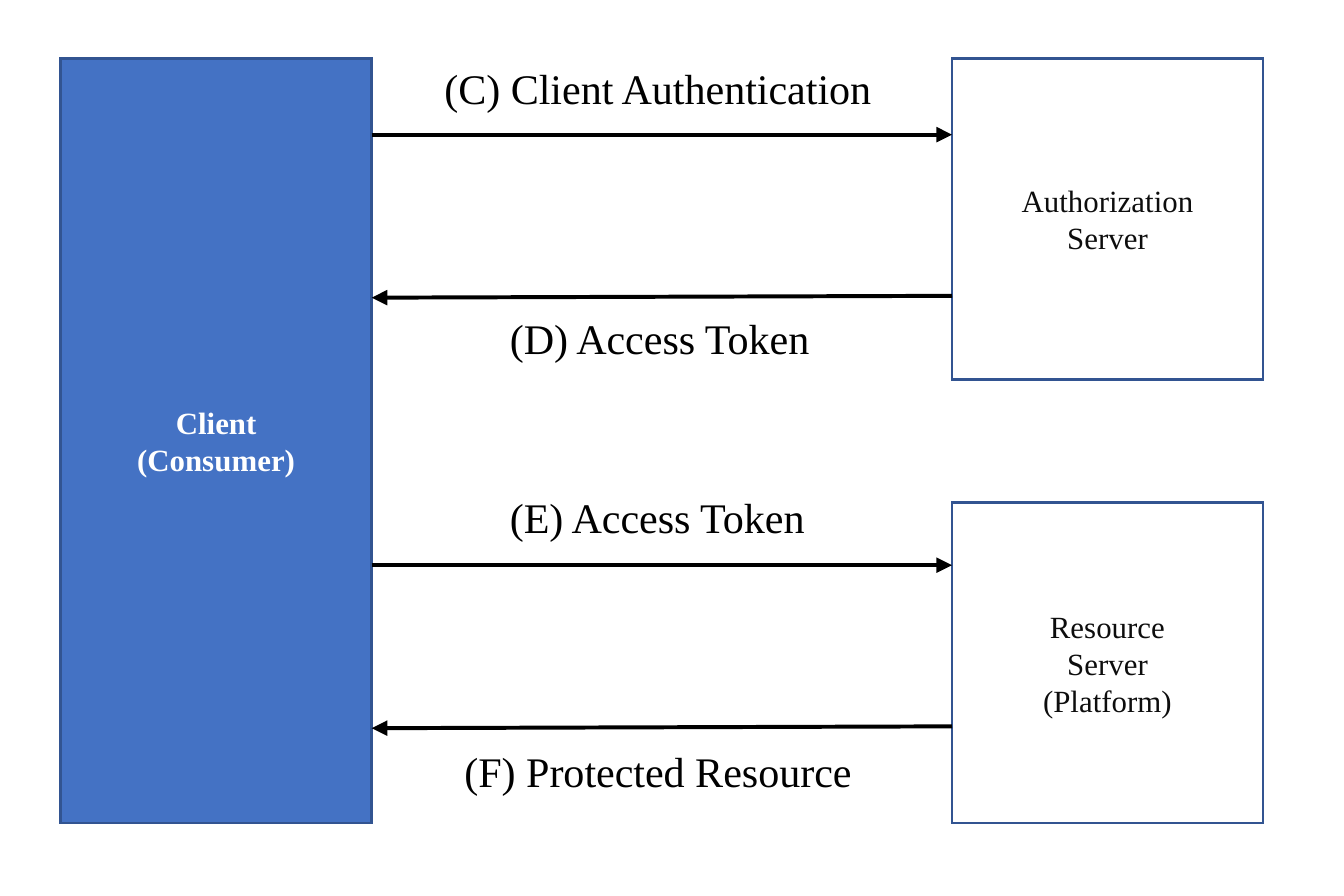
"""Build the client, authorization server and resource server token flow slide."""
from lxml import etree
from pptx import Presentation, util as u
from pptx.dml.color import RGBColor
from pptx.enum import shapes, text
from pptx.oxml.ns import qn

WIDE, HIGH = u.Cm(18), u.Cm(12)
LEFT, RIGHT, TOP, LOW = 0.32, 5.02, 0.31, 2.65
BOX, SIDE, TALL = 1.64, 1.69, 4.03
EDGE = LEFT + BOX
MID = (EDGE + RIGHT) / 2

BOXES = [
    ("Client\n(Consumer)", LEFT, TOP, TALL, "4472C4", "FFFFFF", True),
    ("Authorization\nServer", RIGHT, TOP, SIDE, "FFFFFF", "0D0D0D", False),
    ("Resource\nServer\n(Platform)", RIGHT, LOW, SIDE, "FFFFFF", "0D0D0D", False),
]
FLOWS = [
    ("(C) Client Authentication", 2.49, 0.28, EDGE, 0.71, RIGHT, 0.71),
    ("(D) Access Token", 1.8, 1.6, RIGHT, 1.56, EDGE, 1.57),
    ("(E) Access Token", 1.8, 2.54, EDGE, 2.98, RIGHT, 2.98),
    ("(F) Protected Resource", 2.28, 3.88, RIGHT, 3.83, EDGE, 3.84),
]


def tint(code):
    return RGBColor.from_string(code)


def paint(shape, code):
    shape.fill.solid()
    shape.fill.fore_color.rgb = tint(code)


def stroke(shape, code, size):
    shape.line.color.rgb = tint(code)
    shape.line.width = u.Pt(size)
    line = shape._element.spPr.find(qn("a:ln"))
    etree.SubElement(line, qn("a:miter"), lim="800000")
    return line


def write(shape, words, align, ink, **form):
    frame = shape.text_frame
    frame.text = words
    for para in frame.paragraphs:
        para.alignment = align
        font = para.runs[0].font
        font.color.rgb = tint(ink)
        for key, val in {"name": "Times New Roman", **form}.items():
            setattr(font, key, val)
    return frame


def draw_box(words, x, y, tall, fill, ink, bold):
    box = slide.shapes.add_shape(
        shapes.MSO_SHAPE.RECTANGLE, *map(u.Inches, (x, y, BOX, tall)))
    box.shadow.inherit = False
    paint(box, fill)
    stroke(box, "325491", 1)
    frame = write(box, words, text.PP_ALIGN.CENTER, ink, size=u.Pt(11.7), bold=bold)
    frame.vertical_anchor = text.MSO_ANCHOR.MIDDLE


def draw_label(words, wide, y):
    label = slide.shapes.add_textbox(*map(u.Inches, (MID - wide / 2, y, wide, 0.37)))
    paint(label, "FFFFFF")
    frame = write(label, words, text.PP_ALIGN.LEFT, "000000", size=u.Pt(16))
    frame.word_wrap = False
    frame.auto_size = text.MSO_AUTO_SIZE.SHAPE_TO_FIT_TEXT


def draw_arrow(*ends):
    arrow = slide.shapes.add_connector(
        shapes.MSO_CONNECTOR.STRAIGHT, *map(u.Inches, ends))
    line = stroke(arrow, "000000", 1.5)
    etree.SubElement(line, qn("a:tailEnd"), type="triangle")
    etree.SubElement(arrow._element.spPr, qn("a:effectLst"))


deck = Presentation()
deck.slide_width, deck.slide_height = WIDE, HIGH
slide = deck.slides.add_slide(deck.slide_layouts[6])
for row in BOXES:
    draw_box(*row)
for words, wide, y, *ends in FLOWS:
    draw_label(words, wide, y)
    draw_arrow(*ends)
deck.save("out.pptx")
